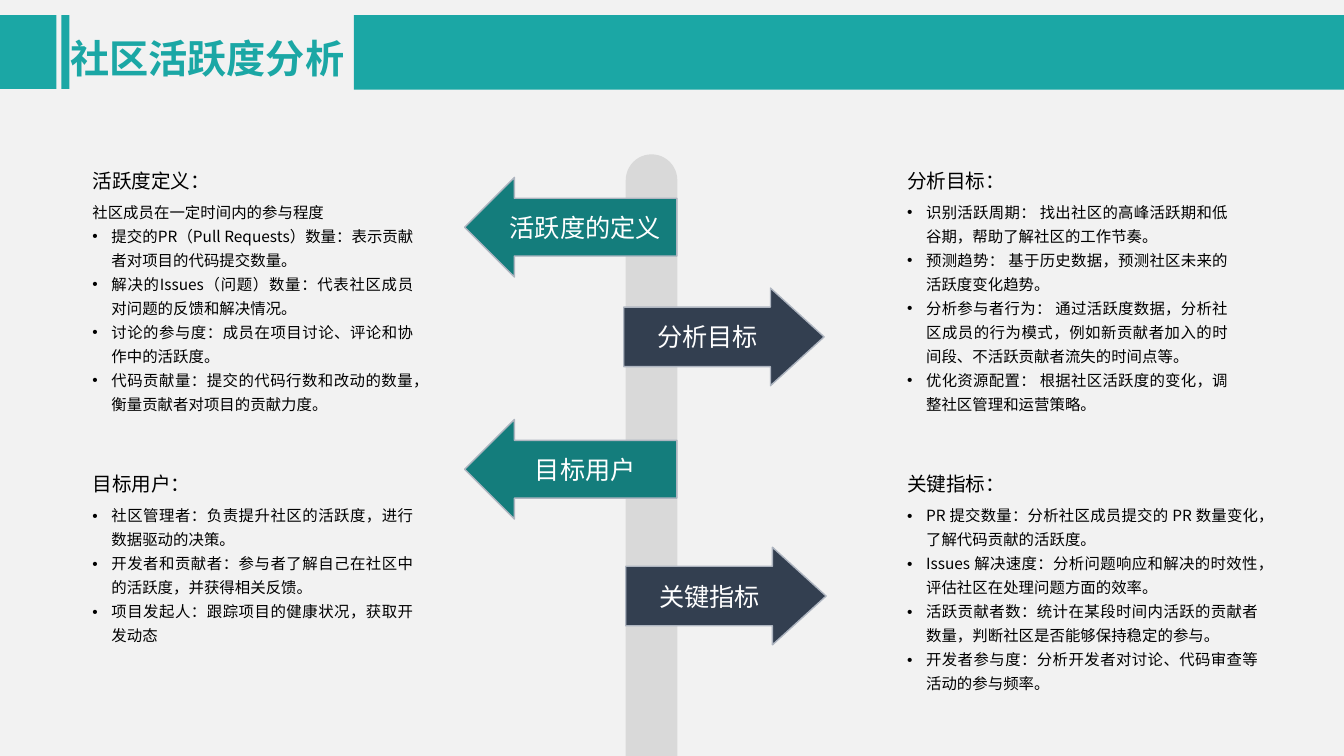
from lxml.etree import SubElement
from pptx import Presentation
from pptx.dml.color import RGBColor
from pptx.enum.lang import MSO_LANGUAGE_ID as Lang
from pptx.enum.shapes import MSO_SHAPE as Shape
from pptx.enum.text import MSO_ANCHOR as Anchor, MSO_AUTO_SIZE as AutoSize, PP_ALIGN as Align
from pptx.oxml.ns import qn
from pptx.util import Cm, Pt

FONT = "Noto Sans CJK SC"
COLORS = {
    "page": "F2F2F2", "teal": "1BA7A5", "deep_teal": "147D7C", "navy": "333F50",
    "outline": "AEB5C0", "pole": "D9D9D9", "ink": "000000", "white": "FFFFFF",
}
LEFT_COLUMN, RIGHT_COLUMN = 2.08, 22.61
UPPER_ROW, LOWER_ROW = 4.01, 11.66

# left, top, body width, body height, heading, introduction, points
SECTIONS = [
    (LEFT_COLUMN, UPPER_ROW, 8.59, 6.27, "活跃度定义：", "社区成员在一定时间内的参与程度", [
        "提交的PR（Pull Requests）数量：表示贡献者对项目的代码提交数量。",
        "解决的Issues（问题）数量：代表社区成员对问题的反馈和解决情况。",
        "讨论的参与度：成员在项目讨论、评论和协作中的活跃度。",
        "代码贡献量：提交的代码行数和改动的数量，衡量贡献者对项目的贡献力度。",
    ]),
    (RIGHT_COLUMN, UPPER_ROW, 8.59, 6.27, "分析目标：", None, [
        "识别活跃周期： 找出社区的高峰活跃期和低谷期，帮助了解社区的工作节奏。",
        "预测趋势： 基于历史数据，预测社区未来的活跃度变化趋势。",
        "分析参与者行为： 通过活跃度数据，分析社区成员的行为模式，"
        "例如新贡献者加入的时间段、不活跃贡献者流失的时间点等。",
        "优化资源配置： 根据社区活跃度的变化，调整社区管理和运营策略。",
    ]),
    (LEFT_COLUMN, LOWER_ROW, 8.59, 4.5, "目标用户：", None, [
        "社区管理者：负责提升社区的活跃度，进行数据驱动的决策。",
        "开发者和贡献者：参与者了解自己在社区中的活跃度，并获得相关反馈。",
        "项目发起人：跟踪项目的健康状况，获取开发动态",
    ]),
    (RIGHT_COLUMN, LOWER_ROW, 9.35, 6.12, "关键指标：", None, [
        "PR 提交数量：分析社区成员提交的 PR 数量变化，了解代码贡献的活跃度。",
        "Issues 解决速度：分析问题响应和解决的时效性，评估社区在处理问题方面的效率。",
        "活跃贡献者数：统计在某段时间内活跃的贡献者数量，判断社区是否能够保持稳定的参与。",
        "开发者参与度：分析开发者对讨论、代码审查等活动的参与频率。",
    ]),
]

LEFT_SIGN = dict(kind=Shape.LEFT_ARROW, size=(5.35, 2.51), fill="deep_teal", adjust=(0.58, 0.5))
RIGHT_SIGN = dict(kind=Shape.RIGHT_ARROW, size=(5.05, 2.46), fill="navy", adjust=(0.61, 0.55))
SIGNS = [
    ("活跃度的定义", 11.71, 4.47, LEFT_SIGN),
    ("目标用户", 11.71, 10.57, LEFT_SIGN),
    ("分析目标", 15.72, 7.26, RIGHT_SIGN),
    ("关键指标", 15.77, 13.79, RIGHT_SIGN),
]


def rgb(name):
    return RGBColor.from_string(COLORS[name])


def write(paragraph, text, size=11, color="ink", bold=False, align=None, spacing=None, bullet=False):
    paragraph.alignment = align
    paragraph.line_spacing = spacing
    properties = paragraph._p.get_or_add_pPr()
    properties.set("hangingPunct", "1")
    if bullet:
        properties.set("marL", str(Cm(0.48)))
        properties.set("indent", str(-Cm(0.48)))
        SubElement(properties, qn("a:buFont"), typeface="Arial")
        SubElement(properties, qn("a:buChar"), char="•")
    run = paragraph.add_run()
    run.text = text
    font = run.font
    font.size, font.bold, font.name = Pt(size), bold, FONT
    font.language_id = Lang.SIMPLIFIED_CHINESE
    font.color.rgb = rgb(color)
    SubElement(run._r.get_or_add_rPr(), qn("a:ea"), typeface=FONT)


class Board:
    """Holds the current slide and draws its elements, with lengths in centimetres."""

    def __init__(self, slide):
        self.slide = slide
        slide.background.fill.solid()
        slide.background.fill.fore_color.rgb = rgb("page")

    def block(self, left, top, width, height, fill, kind=Shape.RECTANGLE, adjust=()):
        block = self.slide.shapes.add_shape(kind, Cm(left), Cm(top), Cm(width), Cm(height))
        block.shadow.inherit = False
        block.fill.solid()
        block.fill.fore_color.rgb = rgb(fill)
        block.line.fill.background()
        for position, value in enumerate(adjust):
            block.adjustments[position] = value
        return block

    def frame(self, left, top, width, height, wrap=True):
        frame = self.slide.shapes.add_textbox(Cm(left), Cm(top), Cm(width), Cm(height)).text_frame
        frame.word_wrap = wrap
        return frame

    def title(self, text):
        frame = self.frame(1.52, 0.51, 7.44, 1.68, wrap=False)
        frame.vertical_anchor = Anchor.MIDDLE
        frame.auto_size = AutoSize.SHAPE_TO_FIT_TEXT
        write(frame.paragraphs[0], text, size=28, color="teal", bold=True, spacing=1.2)

    def section(self, left, top, width, height, heading, introduction, points):
        heading_frame = self.frame(left, top, 4.24, 0.79)
        write(heading_frame.paragraphs[0], heading, size=14, spacing=1.2)
        body = self.frame(left, top + 0.84, width, height)
        lines = [(introduction, False)] if introduction else []
        lines += [(point, True) for point in points]
        for number, (text, bullet) in enumerate(lines):
            paragraph = body.add_paragraph() if number else body.paragraphs[0]
            write(paragraph, text, align=Align.JUSTIFY, spacing=1.3, bullet=bullet)

    def sign(self, text, left, top, kind, size, fill, adjust):
        arrow = self.block(left, top, *size, fill, kind, adjust)
        arrow.line.color.rgb = rgb("outline")
        arrow.line.width = Pt(1)
        arrow.text_frame.vertical_anchor = Anchor.MIDDLE
        write(arrow.text_frame.paragraphs[0], text, size=18, color="white", align=Align.CENTER)


def main():
    deck = Presentation()
    deck.slide_width, deck.slide_height = Cm(33.87), Cm(19.05)
    board = Board(deck.slides.add_slide(deck.slide_layouts[6]))
    for left, width, height in [(0, 1.42, 1.86), (1.55, 0.2, 1.86), (8.92, 24.95, 1.88)]:
        board.block(left, 0.38, width, height, "teal")
    board.title("社区活跃度分析")
    for section in SECTIONS:
        board.section(*section)
    board.block(15.77, 3.89, 1.3, 15.16, "pole", Shape.ROUND_2_SAME_RECTANGLE, (0.5, 0))
    for text, left, top, style in SIGNS:
        board.sign(text, left, top, **style)
    deck.save("out.pptx")


if __name__ == "__main__":
    main()
